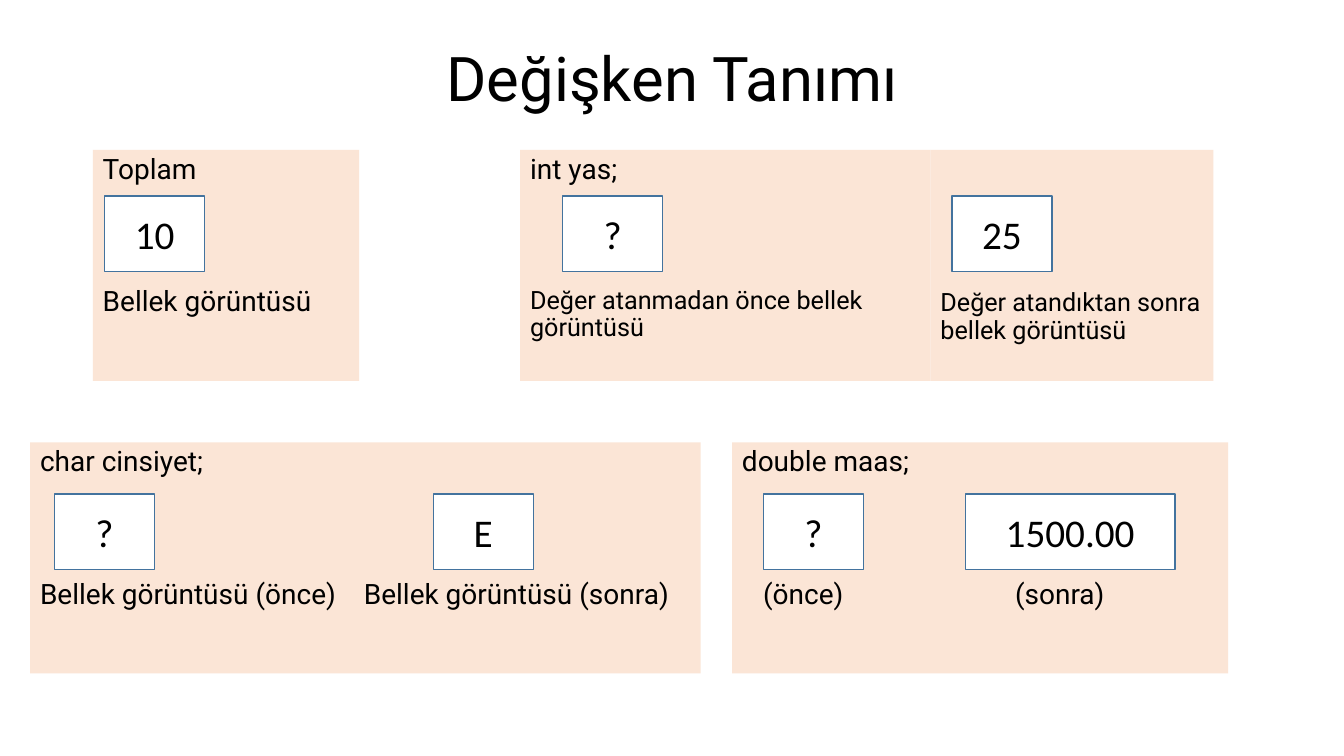
from lxml import etree
from pptx import Presentation
from pptx import util as u
from pptx.dml.color import RGBColor
from pptx.enum import shapes, text
from pptx.oxml.ns import qn

ROWS = [
    (3.78, 4.94, [
        (2.34, 6.71, "Toplam", "Bellek görüntüsü", 20, (), [(2.64, 2.52, "10")]),
        (13.11, 10.34, "int yas;", "Değer atanmadan önce bellek görüntüsü", 18, (),
         [(14.18, 2.52, "?")]),
        (23.45, 7.13, "", "Değer atandıktan sonra bellek görüntüsü", 18, (),
         [(23.99, 2.52, "25")]),
    ]),
    (11.15, 12.45, [
        (0.76, 16.9, "char cinsiyet;", "Bellek görüntüsü (önce)\tBellek görüntüsü (sonra)",
         20, (8.16,), [(1.37, 2.52, "?"), (10.92, 2.52, "E")]),
        (18.45, 12.5, "double maas;", "\t(önce)\t(sonra)", 20, (0.53, 6.88),
         [(19.24, 2.52, "?"), (24.33, 5.28, "1500.00")]),
    ]),
]


def color(value):
    return RGBColor.from_string(value)


def write(paragraph, content, size, font="Roboto", align=text.PP_ALIGN.LEFT,
          spacing=0.9, before=0, tabs=()):
    paragraph.alignment = align
    paragraph.line_spacing = spacing
    paragraph.space_before = u.Pt(before)
    run = paragraph.add_run()
    run.text = content
    run.font.size = u.Pt(size)
    run.font.name = font
    run.font.color.rgb = color("000000")
    if tabs:
        properties = paragraph._p.get_or_add_pPr()
        tab_list = etree.SubElement(properties, qn("a:tabLst"))
        for position in tabs:
            etree.SubElement(tab_list, qn("a:tab"), pos=str(u.Cm(position)), algn="l")


class MemorySlide:
    panel_fill = "FBE5D6"
    cell_fill = "FFFFFF"
    cell_line = "43739E"
    panel_height = 5.82
    cell_height = 1.9
    caption_gap = 73
    caption_inset = 3.53

    def __init__(self, presentation):
        self.slide = presentation.slides.add_slide(presentation.slide_layouts[6])

    def title(self, content):
        shape = self.slide.shapes.add_textbox(u.Cm(2.34), u.Cm(1.02), u.Cm(29.21), u.Cm(2.08))
        frame = shape.text_frame
        frame.word_wrap = True
        frame.vertical_anchor = text.MSO_ANCHOR.MIDDLE
        write(frame.paragraphs[0], content, 44, align=text.PP_ALIGN.CENTER)

    def rectangle(self, left, top, width, height, fill, anchor, line=None):
        shape = self.slide.shapes.add_shape(
            shapes.MSO_SHAPE.RECTANGLE, u.Cm(left), u.Cm(top), u.Cm(width), u.Cm(height))
        shape.shadow.inherit = False
        shape.fill.solid()
        shape.fill.fore_color.rgb = color(fill)
        if line:
            shape.line.color.rgb = color(line)
            shape.line.width = u.Pt(1)
        else:
            shape.line.fill.background()
        shape.text_frame.word_wrap = True
        shape.text_frame.vertical_anchor = anchor
        return shape.text_frame

    def panel(self, left, top, width, heading, caption, size, tabs):
        frame = self.rectangle(left, top, width, self.panel_height,
                               self.panel_fill, text.MSO_ANCHOR.TOP)
        paragraph = frame.paragraphs[0]
        if heading:
            write(paragraph, heading, 20)
            paragraph = frame.add_paragraph()
        else:
            frame.margin_top = u.Cm(self.caption_inset)
        write(paragraph, caption, size, before=self.caption_gap if heading else 0, tabs=tabs)

    def cell(self, left, top, width, value):
        frame = self.rectangle(left, top, width, self.cell_height, self.cell_fill,
                               text.MSO_ANCHOR.MIDDLE, self.cell_line)
        write(frame.paragraphs[0], value, 28, font="Calibri",
              align=text.PP_ALIGN.CENTER, spacing=1.0)


def main():
    presentation = Presentation()
    presentation.slide_width = u.Cm(33.87)
    presentation.slide_height = u.Cm(19.05)
    memory = MemorySlide(presentation)
    memory.title("Değişken Tanımı")
    for panel_top, cell_top, panels in ROWS:
        for left, width, heading, caption, size, tabs, cells in panels:
            memory.panel(left, panel_top, width, heading, caption, size, tabs)
            for cell_left, cell_width, value in cells:
                memory.cell(cell_left, cell_top, cell_width, value)
    presentation.save("out.pptx")


if __name__ == "__main__":
    main()
